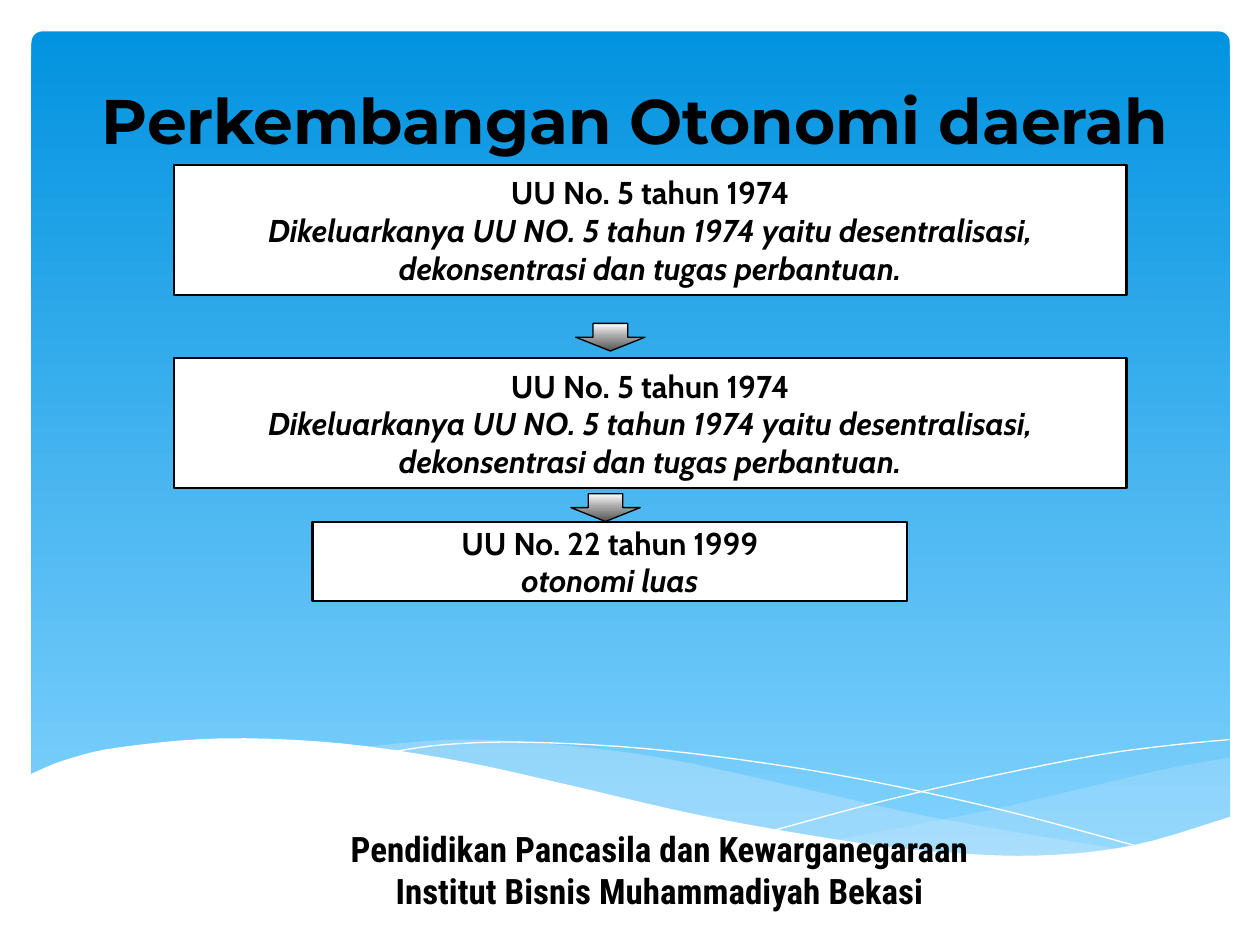
from pptx import Presentation
from pptx.util import Pt
from pptx.dml.color import RGBColor
from pptx.enum.shapes import MSO_SHAPE as SHAPE
from pptx.enum.text import PP_ALIGN as ALIGN, MSO_ANCHOR as ANCHOR
from pptx.oxml.ns import qn
from lxml.etree import SubElement
from copy import deepcopy


def rgb(value):
    return RGBColor.from_string(value)


def smooth(keys, steps=5):
    """Catmull-Rom curve through the key points."""
    pts = [keys[0], *keys, keys[-1]]
    curve = [keys[0]]
    for a, b, c, d in zip(pts, pts[1:], pts[2:], pts[3:]):
        for n in range(1, steps + 1):
            t = n / steps
            curve.append(tuple(
                0.5 * (2 * q + (r - p) * t + (2 * p - 5 * q + 4 * r - s) * t ** 2
                       + (3 * q - p - 3 * r + s) * t ** 3)
                for p, q, r, s in zip(a, b, c, d)))
    return curve


class Deck:
    INK, PAPER, HAZE = "000000", "FFFFFF", "C6E7FC"
    SKY = [(0, "0293E0"), (1, "83D3FE")]
    STEEL = [(0, "FFFFFF"), (0.44, "ABABAB"), (1, "545454")]

    def __init__(self, slide):
        self.shapes = slide.shapes

    def paint(self, s, fill=None, line=None, width=1.25, alpha=None):
        s.shadow.inherit = False
        if fill is None:
            s.fill.background()
        elif isinstance(fill, list):
            self.gradient(s, fill)
        else:
            s.fill.solid()
            s.fill.fore_color.rgb = rgb(fill)
            if alpha:
                clr = s.element.spPr.find(".//" + qn("a:srgbClr"))
                SubElement(clr, qn("a:alpha")).set("val", str(alpha * 1000))
        if line:
            s.line.color.rgb = rgb(line)
            s.line.width = Pt(width)
        else:
            s.line.fill.background()

    def gradient(self, s, stops):
        s.fill.gradient()
        s.fill.gradient_angle = 270
        gs_list = s.element.spPr.find(".//" + qn("a:gsLst"))
        while len(gs_list) < len(stops):
            gs_list.append(deepcopy(gs_list[0]))
        for stop, (pos, color) in zip(s.fill.gradient_stops, stops):
            stop.position = pos
            stop.color.rgb = rgb(color)

    def shape(self, kind, x, y, w, h, **style):
        s = self.shapes.add_shape(kind, Pt(x), Pt(y), Pt(w), Pt(h))
        self.paint(s, **style)
        return s

    def free(self, points, close=True, **style):
        pts = [(Pt(x), Pt(y)) for x, y in points]
        fb = self.shapes.build_freeform(*pts[0], scale=1.0)
        fb.add_line_segments(pts[1:], close=close)
        self.paint(fb.convert_to_shape(), **style)

    def add_lines(self, tf, lines, font, size, italic_from=9):
        tf.word_wrap = True
        for i, text in enumerate(lines):
            p = tf.paragraphs[0] if i == 0 else tf.add_paragraph()
            p.alignment = ALIGN.CENTER
            r = p.add_run()
            r.text = text
            r.font.name, r.font.size, r.font.bold = font, Pt(size), True
            r.font.italic = i >= italic_from
            r.font.color.rgb = rgb(self.INK)

    def text(self, x, y, w, h, lines, font, size):
        tb = self.shapes.add_textbox(Pt(x), Pt(y), Pt(w), Pt(h))
        self.add_lines(tb.text_frame, lines, font, size)

    def law(self, x, y, w, h, lines):
        s = self.shape(SHAPE.RECTANGLE, x, y, w, h, fill=self.PAPER, line=self.INK)
        s.text_frame.vertical_anchor = ANCHOR.MIDDLE
        self.add_lines(s.text_frame, lines, "Cabin", 18, italic_from=1)

    def arrow(self, x, y):
        self.shape(SHAPE.DOWN_ARROW, x, y, 39.6, 15.8,
                   fill=self.STEEL, line=self.INK, width=0.75)


prs = Presentation()
prs.slide_width, prs.slide_height = Pt(720), Pt(540)
deck = Deck(prs.slides.add_slide(prs.slide_layouts[6]))

# Sky panel
panel = deck.shape(SHAPE.ROUNDED_RECTANGLE, 18, 18, 684.7, 475.2, fill=deck.SKY)
panel.adjustments[0] = 0.013

# Translucent waves
right_wave = (
    smooth([(703.4, 432.7), (663.8, 439.9), (620.6, 450), (561.6, 463.7), (476.6, 480.2)])
    + smooth([(476.6, 480.2), (527.8, 486.7), (578.9, 489.6), (628.6, 486.7),
              (668.9, 478.8), (703.4, 467.3)]))
long_wave = (
    smooth([(206.6, 427), (260.6, 422.6), (318.2, 425.5), (380.2, 433.4),
            (453.6, 449.3), (534.2, 467.3), (643.7, 486)])
    + smooth([(643.7, 486), (604.1, 489.6), (548.6, 488.9), (479.5, 481),
              (408.2, 468), (324, 449.3), (261.4, 434.9), (206.6, 427)]))
for wave, alpha in ((right_wave, 29), (long_wave, 40)):
    deck.free(wave, fill=deck.HAZE, alpha=alpha)

# Hairline curves
falling = [(223.2, 429.8), (254.2, 425.5), (300.2, 424.1), (367.9, 427.7),
           (438.5, 436.3), (501.1, 447.1), (573.1, 463), (653.8, 484.6)]
rising = [(442.1, 474.5), (501.1, 458.6), (559.4, 445), (624.2, 432),
          (666, 426.2), (702.7, 422.6)]
for keys in (falling, rising):
    deck.free(smooth(keys), close=False, line=deck.PAPER, width=0)

# White ground
crest = smooth([(16.6, 442.8), (37.4, 434.2), (68.4, 427), (127.4, 421.9),
                (195, 424.8), (262.8, 434.9), (321.8, 447.8), (399.6, 465.8),
                (481, 480.2), (535.7, 486.7), (592.6, 488.9), (647.3, 483.1),
                (703.4, 466.6)])
deck.free(crest + [(703.4, 526.3), (16.6, 526.3)], fill=deck.PAPER)

# Footer and title
deck.text(42.5, 469.4, 668.9, 55.4,
          ["Pendidikan Pancasila dan Kewarganegaraan",
           "Institut Bisnis Muhammadiyah Bekasi"], "Roboto Condensed", 20)
deck.text(42.5, 43.2, 640.8, 51.1, ["Perkembangan Otonomi daerah"], "Montserrat", 36)

# Laws and the arrows between them
law_1974 = ["UU No. 5 tahun 1974",
            "Dikeluarkanya UU NO. 5 tahun 1974 yaitu desentralisasi, "
            "dekonsentrasi dan tugas perbantuan."]
for top in (94.3, 204.8):
    deck.law(99.4, top, 544.3, 74.2, law_1974)
deck.law(178.6, 298.1, 339.8, 45.4, ["UU No. 22 tahun 1999", "otonomi luas"])
for x, y in ((329, 184.8), (326.2, 282.2)):
    deck.arrow(x, y)

prs.save("out.pptx")
